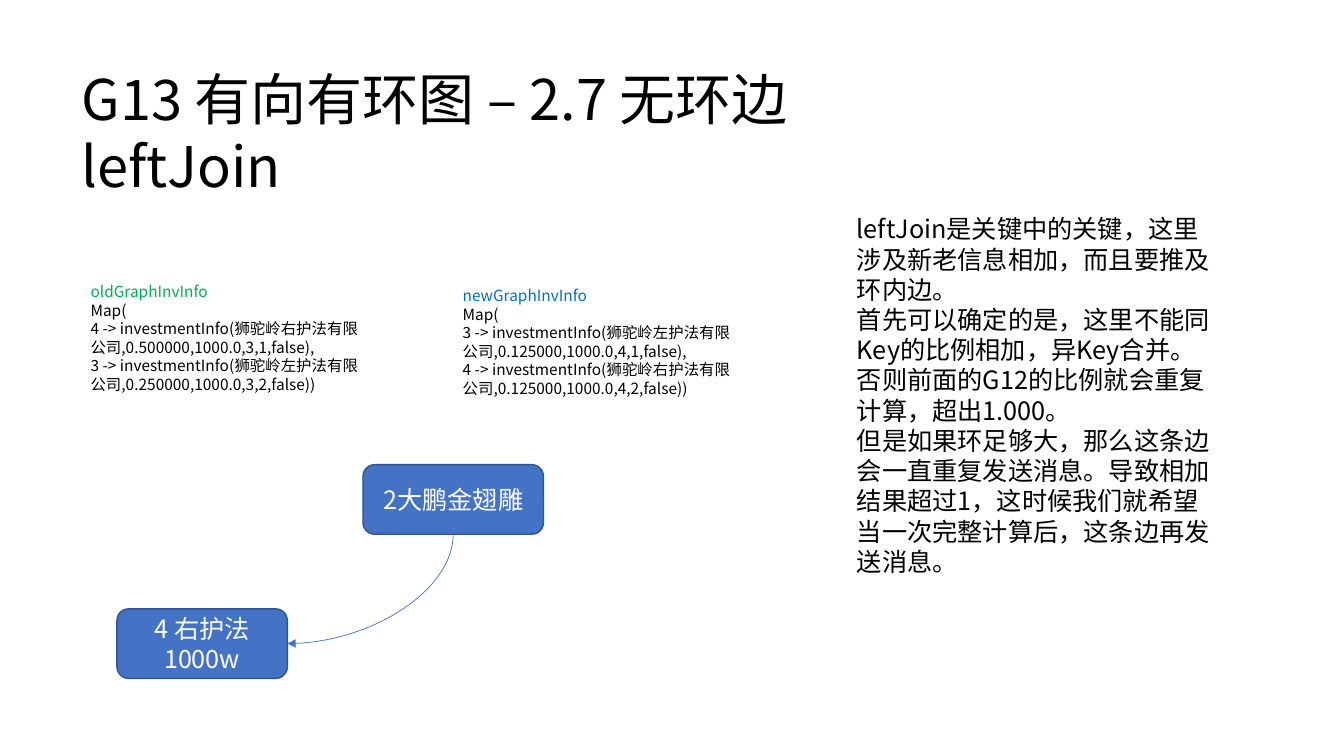
from lxml import etree
from pptx import Presentation
from pptx.dml.color import RGBColor
from pptx.enum.shapes import MSO_CONNECTOR, MSO_SHAPE
from pptx.enum.text import MSO_ANCHOR, PP_ALIGN
from pptx.oxml.ns import qn
from pptx.util import Inches, Pt

CURVE = MSO_CONNECTOR.CURVE
ROUNDED = MSO_SHAPE.ROUNDED_RECTANGLE
MIDDLE = MSO_ANCHOR.MIDDLE
LEFT, CENTER = PP_ALIGN.LEFT, PP_ALIGN.CENTER

FONT = "Noto Sans CJK SC"
COLORS = {
    "text": "000000",
    "old": "00B050",
    "new": "0070C0",
    "node": "4472C4",
    "border": "325491",
    "node_text": "FFFFFF",
}

TITLE = ["G13 有向有环图 – 2.7 无环边leftJoin"]
EXPLANATION = [
    "leftJoin是关键中的关键，这里涉及新老信息相加，而且要推及环内边。",
    "首先可以确定的是，这里不能同Key的比例相加，异Key合并。否则前面的G12的比例就会重复计算，超出1.000。",
    "但是如果环足够大，那么这条边会一直重复发送消息。导致相加结果超过1，这时候我们就希望当一次完整计算后，这条边再发送消息。",
]
TEXTS = [
    (TITLE, (0.71, 0.59, 8.98, 0.77), 40, "text"),
    (EXPLANATION, (8.4, 2.07, 3.75, 3.74), 18, "text"),
]
MAPS = [
    ([
        "oldGraphInvInfo",
        "Map(",
        "4 -> investmentInfo(狮驼岭右护法有限公司,0.500000,1000.0,3,1,false),",
        "3 -> investmentInfo(狮驼岭左护法有限公司,0.250000,1000.0,3,2,false))",
    ], (0.8, 2.75, 2.97, 1.21), 11, "old"),
    ([
        "newGraphInvInfo",
        "Map(",
        "3 -> investmentInfo(狮驼岭左护法有限公司,0.125000,1000.0,4,1,false),",
        "4 -> investmentInfo(狮驼岭右护法有限公司,0.125000,1000.0,4,2,false))",
    ], (4.49, 2.79, 2.95, 1.21), 11, "new"),
]
INVESTOR = (["2大鹏金翅雕"], (3.6, 4.61, 1.79, 0.69))
COMPANY = (["4 右护法", "1000w"], (1.16, 6.04, 1.69, 0.69))


def rgb(name):
    return RGBColor.from_string(COLORS[name])


def write_text(shape, lines, size=18, color="text", first_color=None, align=LEFT):
    frame = shape.text_frame
    frame.word_wrap = True
    for index, line in enumerate(lines):
        paragraph = frame.paragraphs[0] if index == 0 else frame.add_paragraph()
        paragraph.alignment = align
        run = paragraph.add_run()
        run.text = line
        run.font.size = Pt(size)
        run.font.name = FONT
        run.font.color.rgb = rgb(first_color if first_color and index == 0 else color)
        east_asian = etree.SubElement(run.font._element, qn("a:ea"))
        east_asian.set("typeface", FONT)


def add_node(slide, lines, box):
    shape = slide.shapes.add_shape(ROUNDED, *map(Inches, box))
    shape.shadow.inherit = False
    shape.fill.solid()
    shape.fill.fore_color.rgb = rgb("node")
    shape.line.color.rgb = rgb("border")
    shape.line.width = Pt(1)
    shape.text_frame.vertical_anchor = MIDDLE
    write_text(shape, lines, color="node_text", align=CENTER)


def add_curved_arrow(slide, source, target):
    start_x, start_y = source[0] + source[2] / 2, source[1] + source[3]
    end_x, end_y = target[0] + target[2], target[1] + target[3] / 2
    center_x, center_y = (start_x + end_x) / 2, (start_y + end_y) / 2
    half_width, half_height = (end_y - start_y) / 2, (start_x - end_x) / 2
    connector = slide.shapes.add_connector(
        CURVE,
        Inches(center_x - half_width), Inches(center_y - half_height),
        Inches(center_x + half_width), Inches(center_y + half_height),
    )
    connector.line.color.rgb = rgb("node")
    connector.line.width = Pt(0.5)
    properties = connector._element.spPr
    properties.find(qn("a:xfrm")).set("rot", str(90 * 60000))
    properties.find(qn("a:prstGeom")).set("prst", "curvedConnector2")
    arrowhead = etree.SubElement(properties.find(qn("a:ln")), qn("a:tailEnd"))
    arrowhead.set("type", "triangle")
    etree.SubElement(properties, qn("a:effectLst"))


def main():
    presentation = Presentation()
    presentation.slide_width = Inches(13.33)
    presentation.slide_height = Inches(7.5)
    slide = presentation.slides.add_slide(presentation.slide_layouts[6])
    for lines, box, size, first_color in TEXTS + MAPS:
        shape = slide.shapes.add_textbox(*map(Inches, box))
        write_text(shape, lines, size=size, first_color=first_color)
    add_curved_arrow(slide, INVESTOR[1], COMPANY[1])
    for lines, box in (COMPANY, INVESTOR):
        add_node(slide, lines, box)
    presentation.save("out.pptx")


if __name__ == "__main__":
    main()
